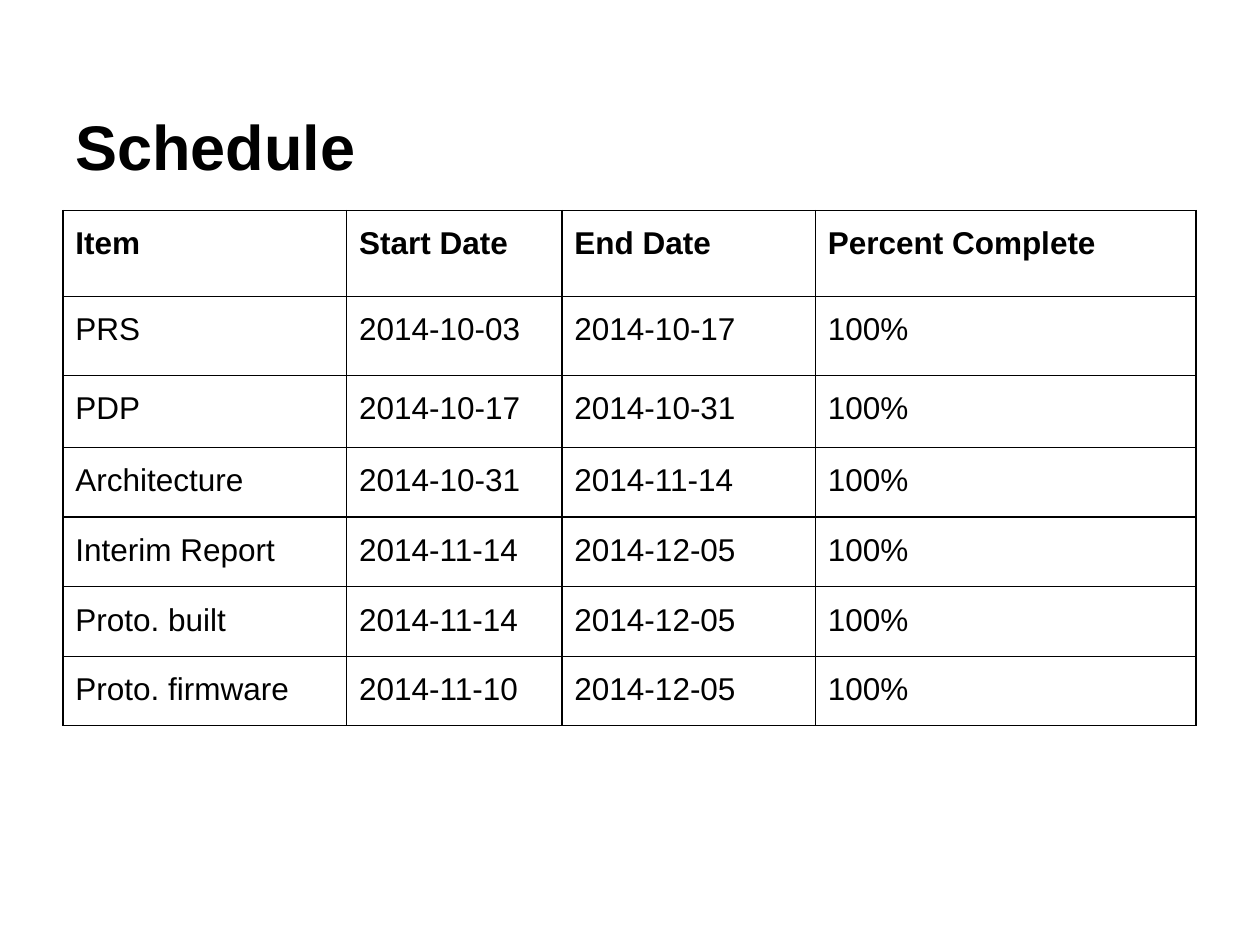
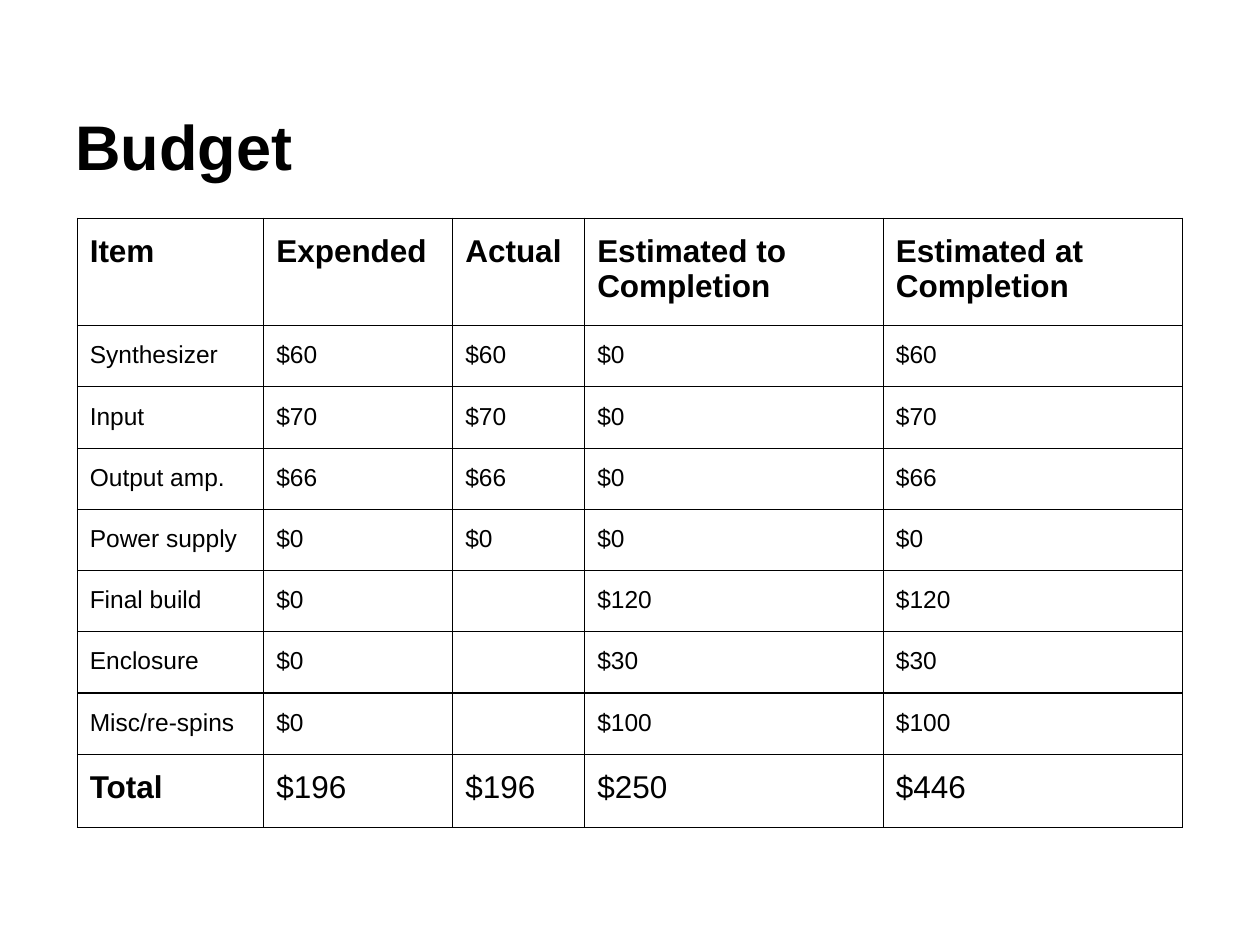
"""Build the schedule and budget tables of a project status deck."""
from dataclasses import dataclass

from lxml import etree
from pptx import Presentation
from pptx.dml.color import RGBColor
from pptx.enum.text import MSO_ANCHOR
from pptx.oxml.ns import qn
from pptx.util import Cm, Pt

BOTTOM = MSO_ANCHOR.BOTTOM
BLANK_LAYOUT = 6
BORDER_TAGS = ("a:lnL", "a:lnR", "a:lnT", "a:lnB")


@dataclass(frozen=True)
class Theme:
    font: str = "Arial"
    ink: str = "000000"
    title_size: int = 36
    large_size: int = 18
    small_size: int = 14
    border: float = 0.75


THEME = Theme()

SCHEDULE = {
    "title": "Schedule",
    "left": 1.27,
    "top": 4.24,
    "columns": (5.72, 4.34, 5.11, 7.67),
    "heights": (1.73, 1.6, 1.45) + (1.39,) * 4,
    "body_size": THEME.large_size,
    "header": ("Item", "Start Date", "End Date", "Percent Complete"),
    "rows": [
        ("PRS", "2014-10-03", "2014-10-17", "100%"),
        ("PDP", "2014-10-17", "2014-10-31", "100%"),
        ("Architecture", "2014-10-31", "2014-11-14", "100%"),
        ("Interim Report", "2014-11-14", "2014-12-05", "100%"),
        ("Proto. built", "2014-11-14", "2014-12-05", "100%"),
        ("Proto. firmware", "2014-11-10", "2014-12-05", "100%"),
    ],
    "total": None,
}

BUDGET = {
    "title": "Budget",
    "left": 1.56,
    "top": 4.4,
    "columns": (3.76, 3.81, 2.66, 6.02, 6.02),
    "heights": (2.1,) + (1.23,) * 7 + (1.47,),
    "body_size": THEME.small_size,
    "header": ("Item", "Expended", "Actual",
               "Estimated to Completion", "Estimated at Completion"),
    "rows": [
        ("Synthesizer", "$60", "$60", "$0", "$60"),
        ("Input", "$70", "$70", "$0", "$70"),
        ("Output amp.", "$66", "$66", "$0", "$66"),
        ("Power supply", "$0", "$0", "$0", "$0"),
        ("Final build", "$0", "", "$120", "$120"),
        ("Enclosure", "$0", "", "$30", "$30"),
        ("Misc/re-spins", "$0", "", "$100", "$100"),
    ],
    "total": ("Total", "$196", "$196", "$250", "$446"),
}

TITLE_PLACE = (Cm(1.27), Cm(0.76), Cm(22.86), Cm(3.18))
TITLE_FORMAT = {
    "word_wrap": True,
    "vertical_anchor": BOTTOM,
    "margin_left": Cm(0.25),
    "margin_right": Cm(0.25),
    "margin_top": Cm(0.25),
    "margin_bottom": Cm(0.25),
}
CELL_FORMAT = {
    "margin_left": Cm(0.25),
    "margin_right": Cm(0.25),
    "margin_top": Cm(0.32),
    "margin_bottom": Cm(0.32),
}


def apply_format(target, values):
    for name, value in values.items():
        setattr(target, name, value)


def write(frame, text, size, bold):
    span = frame.paragraphs[0].add_run()
    span.text = text
    apply_format(span.font, {"name": THEME.font, "size": Pt(size), "bold": bold})
    span.font.color.rgb = RGBColor.from_string(THEME.ink)


def add_title(page, text):
    box = page.shapes.add_textbox(*TITLE_PLACE)
    apply_format(box.text_frame, TITLE_FORMAT)
    write(box.text_frame, text, THEME.title_size, True)


def add_borders(cell):
    properties = cell._tc.get_or_add_tcPr()
    for tag in BORDER_TAGS:
        line = etree.SubElement(properties, qn(tag), w=str(Pt(THEME.border)))
        fill = etree.SubElement(line, qn("a:solidFill"))
        etree.SubElement(fill, qn("a:srgbClr"), val=THEME.ink)


def styled_rows(content):
    """Yield each row's texts with its type size and a bold flag per cell."""
    count = len(content["header"])
    yield content["header"], THEME.large_size, (True,) * count
    for texts in content["rows"]:
        yield texts, content["body_size"], (False,) * count
    if content["total"]:
        yield content["total"], THEME.large_size, (True,) + (False,) * (count - 1)


def add_grid(page, content):
    columns, heights = content["columns"], content["heights"]
    table = page.shapes.add_table(
        len(heights), len(columns), Cm(content["left"]), Cm(content["top"]),
        Cm(sum(columns)), Cm(sum(heights))).table
    apply_format(table, {"first_row": False, "horz_banding": False})
    for column, width in zip(table.columns, columns):
        column.width = Cm(width)
    for row, height, (texts, size, bolds) in zip(
            table.rows, heights, styled_rows(content)):
        row.height = Cm(height)
        for cell, text, bold in zip(row.cells, texts, bolds):
            add_borders(cell)
            cell.fill.background()
            if text:
                apply_format(cell, CELL_FORMAT)
                write(cell.text_frame, text, size, bold)


def main():
    deck = Presentation()
    apply_format(deck, {"slide_width": Cm(25.4), "slide_height": Cm(19.05)})
    for content in (SCHEDULE, BUDGET):
        page = deck.slides.add_slide(deck.slide_layouts[BLANK_LAYOUT])
        add_title(page, content["title"])
        add_grid(page, content)
    deck.save("out.pptx")


if __name__ == "__main__":
    main()
